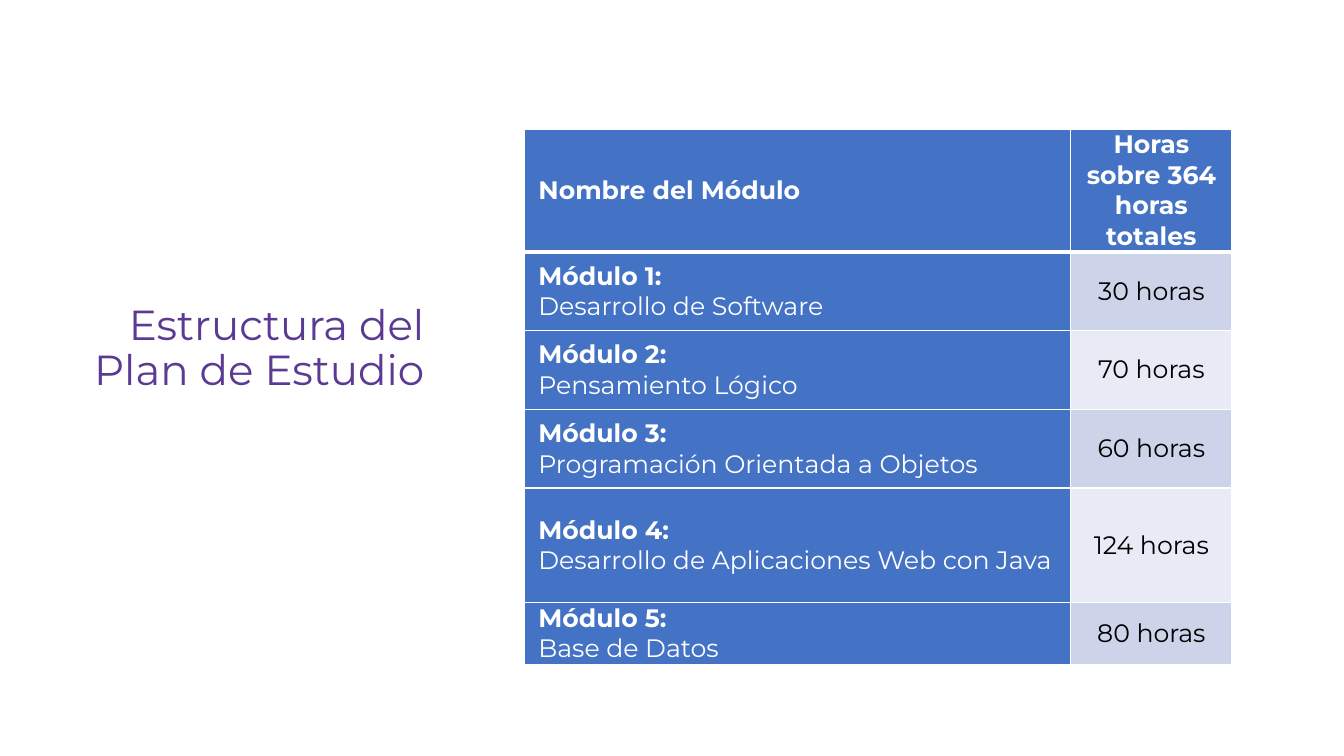
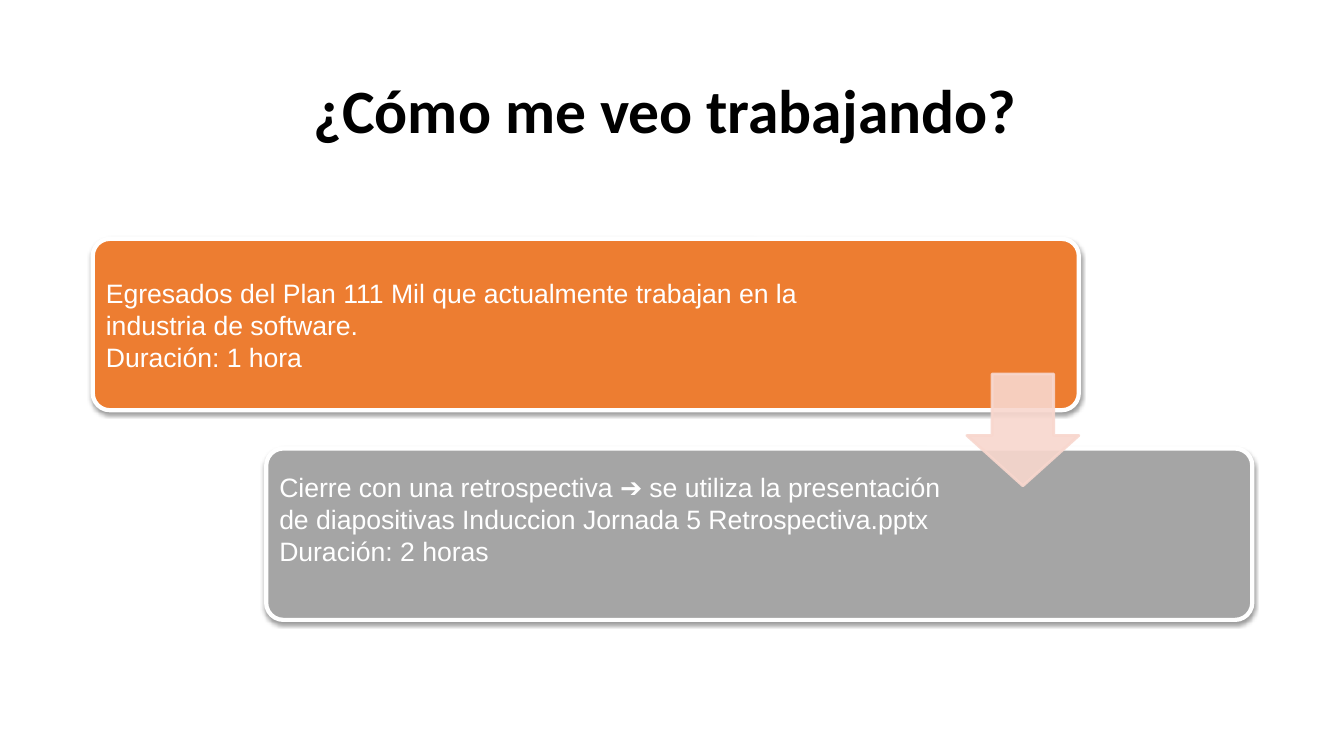
from lxml import etree
from pptx import Presentation
from pptx.dml import color
from pptx.enum import shapes, text
from pptx.oxml import ns
from pptx.util import Pt

PX = 9144
WHITE, BLACK = "FFFFFF", "000000"
BLUE, PURPLE = "4472C4", "5B3A93"
ORANGE, GRAY, PINK = "ED7D31", "A5A5A5", "F8D7CE"
BANDS = "CDD4EA", "E8EBF5"
LEFT, MID, RIGHT = text.PP_ALIGN.LEFT, text.PP_ALIGN.CENTER, text.PP_ALIGN.RIGHT
CENTER = text.MSO_ANCHOR.MIDDLE

MODULES = [
    ("Módulo 1:", "Desarrollo de Software", "30 horas"),
    ("Módulo 2:", "Pensamiento Lógico", "70 horas"),
    ("Módulo 3:", "Programación Orientada a Objetos", "60 horas"),
    ("Módulo 4:", "Desarrollo de Aplicaciones Web con Java", "124 horas"),
    ("Módulo 5:", "Base de Datos", "80 horas"),
]
STEPS = [
    (ORANGE, 802, 160, "Egresados del Plan 111 Mil que actualmente trabajan "
     "en la industria de software.\vDuración: 1 hora"),
    (GRAY, 684, 129, "Cierre con una retrospectiva ➔ se utiliza la presentación "
     "de diapositivas Induccion Jornada 5 Retrospectiva.pptx"
     "\vDuración: 2 horas"),
]


def px(*nums):
    return [n * PX for n in nums]


def rgb(code):
    return color.RGBColor.from_string(code)


def put(item, **vals):
    for key, val in vals.items():
        setattr(item, key, val)


def paint(fill, code):
    fill.solid()
    fill.fore_color.rgb = rgb(code)


def style(font, name, size, code, bold=False):
    put(font, name=name, size=Pt(size), bold=bold)
    font.color.rgb = rgb(code)


def node(root, tag, **vals):
    return etree.SubElement(root, ns.qn(tag), {k: str(v) for k, v in vals.items()})


def title(slide, box, words, align, *font):
    head = slide.shapes.title
    put(head, **dict(zip(("left", "top", "width", "height"), px(*box))))
    frame = head.text_frame
    frame.text = words
    put(frame, word_wrap=True, vertical_anchor=CENTER,
        auto_size=text.MSO_AUTO_SIZE.NONE)
    para = frame.paragraphs[0]
    put(para, alignment=align, line_spacing=0.9)
    style(para.font, *font)


def edge(cell, top, base):
    props = cell._tc.get_or_add_tcPr()
    for spot, (side, size) in enumerate(zip("LRTB", (1, 1, top, base))):
        line = etree.Element(ns.qn(f"a:ln{side}"), w=str(Pt(size)))
        node(node(line, "a:solidFill"), "a:srgbClr", val=WHITE)
        props.insert(spot, line)


def fill_cell(cell, runs, align, fill, ink, top, base):
    side, = px(14)
    put(cell, vertical_anchor=CENTER, margin_left=side, margin_right=side,
        margin_top=0, margin_bottom=0)
    para = cell.text_frame.paragraphs[0]
    para.alignment = align
    for spot, (words, bold) in enumerate(runs):
        if spot:
            para.add_line_break()
        run = para.add_run()
        run.text = words
        style(run.font, "Montserrat", 18, ink, bold)
    paint(cell.fill, fill)
    edge(cell, top, base)


def plan(slide, box):
    rows = 114, 78, 78, 78, 114, 43
    grid = slide.shapes.add_table(len(rows), 2, *px(*box)).table
    for row, high in zip(grid.rows, px(*rows)):
        row.height = high
    for col, wide in zip(grid.columns, px(box[2] - 160, 160)):
        col.width = wide
    heads = ("Nombre del Módulo", LEFT), ("Horas sobre 364 horas totales", MID)
    for col, (words, align) in enumerate(heads):
        fill_cell(grid.cell(0, col), [(words, True)], align, BLUE, WHITE, 1, 3)
    for row, (name, topic, hours) in enumerate(MODULES, 1):
        top = 3 if row == 1 else 1
        fill_cell(grid.cell(row, 0), [(name, True), (topic, False)],
                  LEFT, BLUE, WHITE, top, 1)
        fill_cell(grid.cell(row, 1), [(hours, False)],
                  MID, BANDS[(row - 1) % 2], BLACK, top, 1)


def block(slide, kind, box, fill, edge_code, size, adjust):
    shape = slide.shapes.add_shape(kind, *px(*box))
    for spot, val in enumerate(adjust):
        shape.adjustments[spot] = val
    shape.shadow.inherit = False
    paint(shape.fill, fill)
    paint(shape.line.fill, edge_code)
    shape.line.width = Pt(size)
    return shape


def card(slide, box, fill, wide, high, words):
    left, top = box[:2]
    shape = block(slide, shapes.MSO_SHAPE.ROUNDED_RECTANGLE, box, fill, WHITE, 3, [0.1])
    glow = node(shape.element.spPr.find(ns.qn("a:effectLst")), "a:outerShdw",
                blurRad=Pt(3.1), dist=Pt(1.6), dir=5400000, rotWithShape=0)
    node(node(glow, "a:srgbClr", val=BLACK), "a:alpha", val=38000)
    frame = slide.shapes.add_textbox(*px(left + 5, top + 5, wide, high)).text_frame
    pad, = px(8)
    put(frame, word_wrap=True, vertical_anchor=CENTER, margin_left=pad,
        margin_right=pad, margin_top=pad, margin_bottom=pad)
    para = frame.paragraphs[0]
    para.text = words
    style(para.font, "Arial", 19, WHITE)


def arrow(slide, box):
    shape = block(slide, shapes.MSO_SHAPE.DOWN_ARROW, box, PINK, PINK, 2, [0.55, 0.45])
    for tint in shape.element.spPr.iter(ns.qn("a:srgbClr")):
        node(tint, "a:alpha", val=90000)


def steps(slide, box):
    left, top, wide, high = box
    for spot, (fill, span, tall, words) in enumerate(STEPS):
        spots = left + spot * 172, top + spot * 208, wide, high
        card(slide, spots, fill, span, tall, words)
    arrow(slide, (left + wide - 111, top + 134, 111, 111))


def main():
    deck = Presentation()
    put(deck, **dict(zip(("slide_width", "slide_height"), px(1333, 750))))
    first, last = [deck.slides.add_slide(deck.slide_layouts[5]) for _ in range(2)]
    title(first, (55, 135, 376, 423), "Estructura del Plan de Estudio",
          RIGHT, "Montserrat", 30, PURPLE)
    plan(first, (520, 128, 702, 528))
    title(last, (92, 74, 1150, 78), "¿Cómo me veo trabajando? ",
          MID, "Calibri", 44, BLACK, True)
    steps(last, (92, 237, 978, 170))
    deck.save("out.pptx")


if __name__ == "__main__":
    main()
